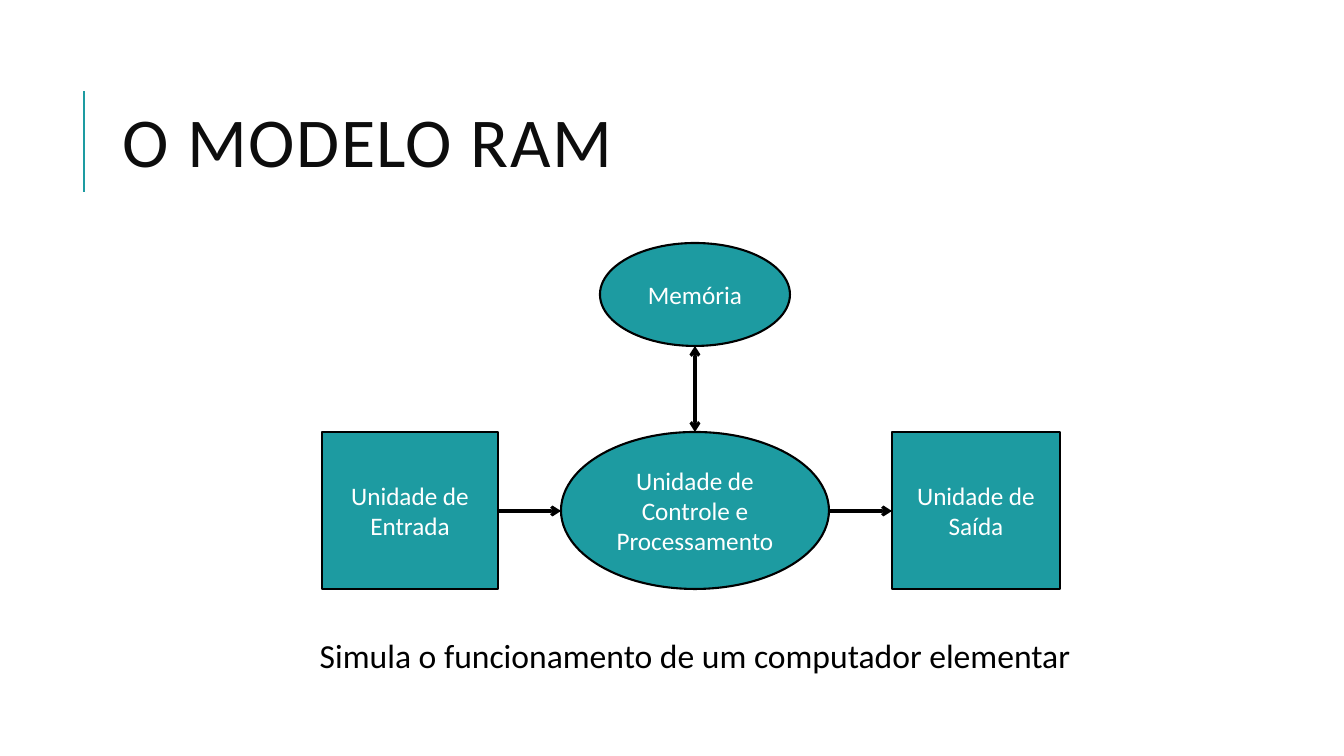
from dataclasses import dataclass

from lxml import etree
from pptx import Presentation
from pptx import util as u
from pptx.dml.color import RGBColor
from pptx.enum import shapes, text
from pptx.oxml import ns

SCALE = 12192000 / 1344
TEAL = RGBColor(0x1D, 0x9B, 0xA1)
BLACK = RGBColor(0, 0, 0)
INK = RGBColor(0x0D, 0x0D, 0x0D)
WHITE = RGBColor(0xFF, 0xFF, 0xFF)
OVAL = shapes.MSO_SHAPE.OVAL
RECT = shapes.MSO_SHAPE.RECTANGLE
MIDDLE = text.MSO_ANCHOR.MIDDLE
CENTER = text.PP_ALIGN.CENTER


def px(n: float) -> int:
    return u.Emu(round(n * SCALE))


@dataclass(frozen=True)
class Node:
    label: str
    kind: int
    left: int
    top: int
    width: int
    height: int

    @property
    def right(self) -> int:
        return self.left + self.width

    @property
    def bottom(self) -> int:
        return self.top + self.height

    @property
    def mid(self) -> int:
        return self.left + self.width // 2


@dataclass(frozen=True)
class Link:
    start: tuple[int, int]
    end: tuple[int, int]
    color: RGBColor = BLACK
    weight: float = 2.25
    ends: tuple[str, ...] = ()


def add_run(para, words: str, size: int, color: RGBColor):
    run = para.add_run()
    run.text = words
    run.font.name = "Calibri"
    run.font.size = u.Pt(size)
    run.font.color.rgb = color
    return run


def add_box(slide, left: int, top: int, width: int, height: int):
    frame = slide.shapes.add_textbox(*map(px, (left, top, width, height))).text_frame
    frame.word_wrap = True
    return frame


def add_node(slide, node: Node) -> None:
    shape = slide.shapes.add_shape(
        node.kind, *map(px, (node.left, node.top, node.width, node.height)))
    shape.shadow.inherit = False
    shape.fill.solid()
    shape.fill.fore_color.rgb = TEAL
    shape.line.color.rgb = BLACK
    shape.line.width = u.Pt(1.5)
    frame = shape.text_frame
    frame.word_wrap = True
    frame.vertical_anchor = MIDDLE
    para = frame.paragraphs[0]
    para.alignment = CENTER
    add_run(para, node.label, 18, WHITE)


def add_link(slide, link: Link) -> None:
    line = slide.shapes.add_connector(
        shapes.MSO_CONNECTOR.STRAIGHT, *map(px, link.start + link.end))
    line.line.color.rgb = link.color
    line.line.width = u.Pt(link.weight)
    for end in link.ends:
        etree.SubElement(line.line._get_or_add_ln(), ns.qn(f"a:{end}"), type="arrow")
    etree.SubElement(line._element.spPr, ns.qn("a:effectLst"))


def add_title(slide) -> None:
    frame = add_box(slide, 113, 65, 1072, 165)
    frame.vertical_anchor = MIDDLE
    para = frame.paragraphs[0]
    para.line_spacing = 0.8
    run = add_run(para, "O MODELO RAM", 50, INK)
    run.font._element.set("spc", "100")


def add_note(slide) -> None:
    frame = add_box(slide, 159, 634, 1072, 55)
    frame.margin_left = frame.margin_right = px(5)
    frame.margin_top = frame.margin_bottom = px(5)
    para = frame.paragraphs[0]
    para.alignment = CENTER
    para.line_spacing = 0.9
    para.space_before = u.Pt(12)
    para.space_after = u.Pt(2)
    add_run(para, "Simula o funcionamento de um computador elementar", 24, BLACK)


ROW, TALL = 432, 157
AXIS = ROW + TALL // 2 + 1
MEMORY = Node("Memória", OVAL, 600, 243, 190, 103)
CONTROL = Node("Unidade de Controle e Processamento", OVAL, 561, ROW, 268, TALL)
INPUT = Node("Unidade de Entrada", RECT, 322, ROW, 176, TALL)
OUTPUT = Node("Unidade de Saída", RECT, 892, ROW, 168, TALL)
LINKS = (
    Link((84, 192), (84, 91), TEAL, 1.5),
    Link((INPUT.right, AXIS), (CONTROL.left, AXIS), ends=("tailEnd",)),
    Link((CONTROL.right, AXIS), (OUTPUT.left, AXIS), ends=("tailEnd",)),
    Link((MEMORY.mid, MEMORY.bottom), (CONTROL.mid, CONTROL.top),
         ends=("headEnd", "tailEnd")),
)

deck = Presentation()
deck.slide_width, deck.slide_height = px(1344), px(756)
slide = deck.slides.add_slide(deck.slide_layouts[6])
add_title(slide)
add_note(slide)
for node in (MEMORY, CONTROL, INPUT, OUTPUT):
    add_node(slide, node)
for link in LINKS:
    add_link(slide, link)
deck.save("out.pptx")
